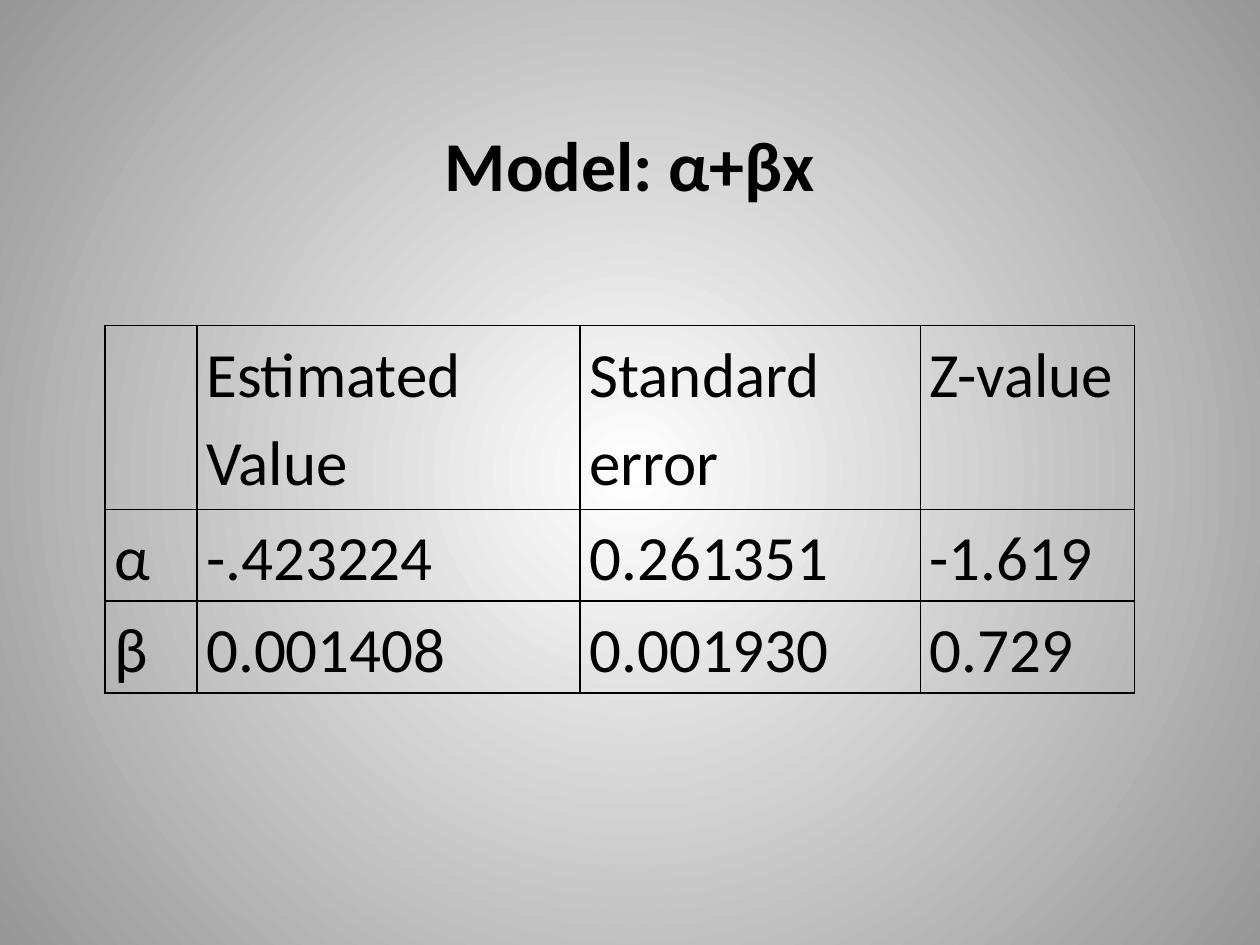
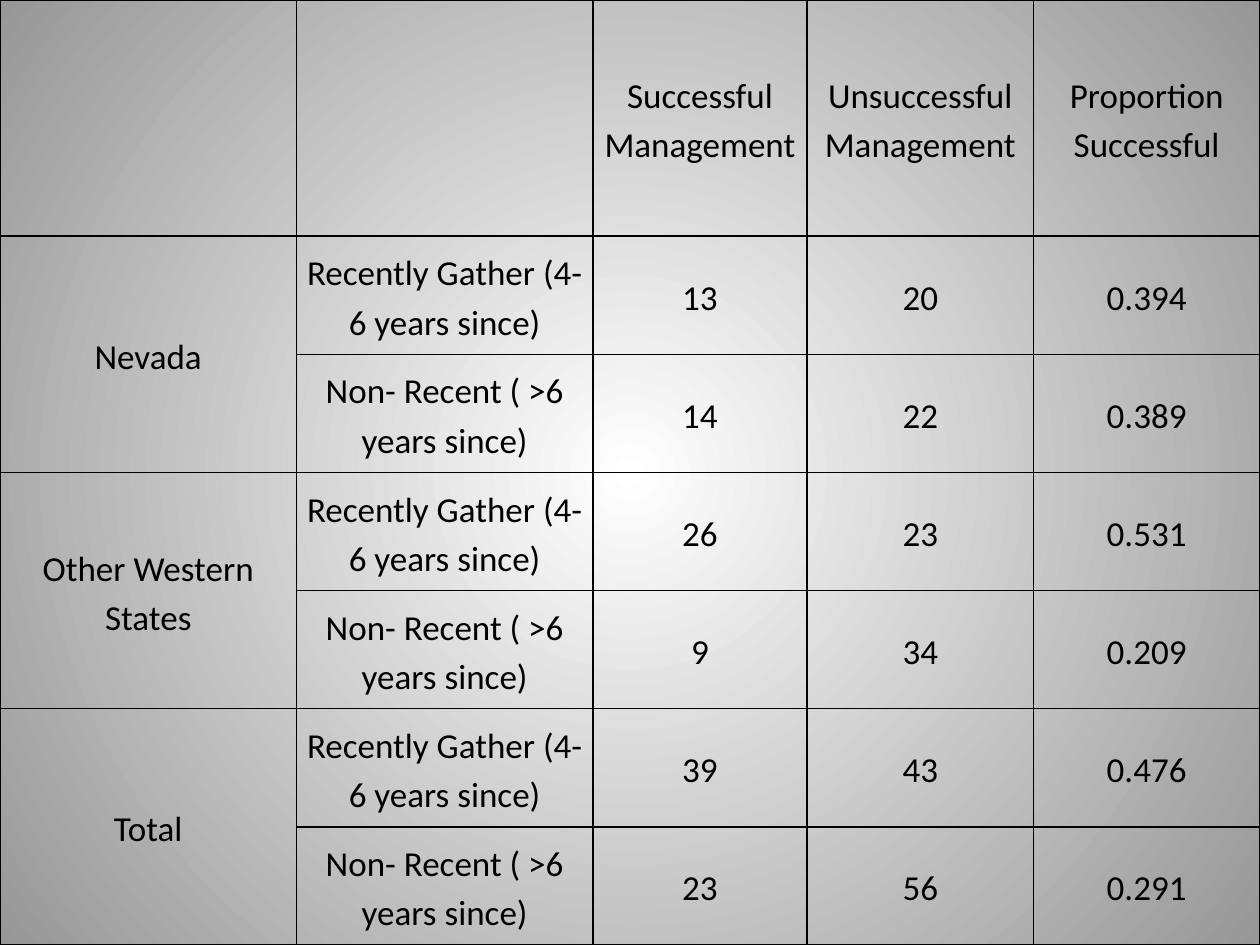
"""Builds two slides of management results: a fitted model and a table of counts."""
from lxml import etree
from pptx import Presentation
from pptx import util as u
from pptx.dml.color import RGBColor
from pptx.enum import text
from pptx.oxml import ns

COLORS = {"ink": "000000", "center": "FFFFFF", "edge": "979797"}
FONT = "Calibri"
LEFT, CENTER = text.PP_ALIGN.LEFT, text.PP_ALIGN.CENTER
RECENT = "Recently Gather (4-6 years since)"
OLDER = "Non- Recent ( >6 years since)"

TITLE = "Model: α+βx"
MODEL = {
    "left": 60, "top": 186, "cols": [52.5, 219, 194.4, 122.4],
    "rows": [105, 52.5, 52.5], "size": 36, "align": LEFT,
    "anchor": text.MSO_ANCHOR.TOP, "merges": [],
    "cells": [
        ["", "Estimated Value", "Standard error", "Z-value"],
        ["α", "-.423224", "0.261351", "-1.619"],
        ["β", "0.001408", "0.001930", "0.729"],
    ],
}
COUNTS = [
    ("Nevada", ["13", "20", "0.394"], ["14", "22", "0.389"]),
    ("Other Western States", ["26", "23", "0.531"], ["9", "34", "0.209"]),
    ("Total", ["39", "43", "0.476"], ["23", "56", "0.291"]),
]
count_rows = [["", "", "Successful Management", "Unsuccessful Management",
               "Proportion Successful"]]
for region, recent, older in COUNTS:
    count_rows += [[region, RECENT, *recent], ["", OLDER, *older]]
MANAGEMENT = {
    "left": 0, "top": 0, "cols": [169.4, 169.4, 122.4, 129.4, 129.4],
    "rows": [135] + [67.5] * 6, "size": 20, "align": CENTER,
    "anchor": text.MSO_ANCHOR.MIDDLE,
    "merges": range(1, len(count_rows), 2), "cells": count_rows,
}


def rgb(name):
    return RGBColor.from_string(COLORS[name])


def add_run(p, words, size, bold=False):
    r = p.add_run()
    r.text = words
    r.font.name, r.font.size, r.font.bold = FONT, u.Pt(size), bold
    r.font.color.rgb = rgb("ink")


def add_slide(prs):
    s = prs.slides.add_slide(prs.slide_layouts[6])
    fill = s.background.fill
    fill.gradient()
    for stop, name, position in zip(fill.gradient_stops, ("center", "edge"), (0, 1)):
        stop.color.rgb = rgb(name)
        stop.position = position
    lin = next(s.background._cSld.iter(ns.qn("a:lin")))
    circle = etree.Element(ns.qn("a:path"), {"path": "circle"})
    etree.SubElement(circle, ns.qn("a:fillToRect"), dict.fromkeys("ltrb", "50000"))
    lin.getparent().replace(lin, circle)
    return s


def add_borders(cell):
    tc_pr = cell._tc.get_or_add_tcPr()
    for side in "LRTB":
        ln = etree.SubElement(tc_pr, ns.qn(f"a:ln{side}"), w=str(u.Pt(1)))
        solid = etree.SubElement(ln, ns.qn("a:solidFill"))
        etree.SubElement(solid, ns.qn("a:srgbClr"), val=COLORS["ink"])


def add_grid(s, grid):
    cols, rows = grid["cols"], grid["rows"]
    frame = s.shapes.add_table(
        len(rows), len(cols), u.Pt(grid["left"]), u.Pt(grid["top"]),
        u.Pt(sum(cols)), u.Pt(sum(rows)))
    table = frame.table
    table.first_row = table.horz_banding = False
    for column, width in zip(table.columns, cols):
        column.width = u.Pt(width)
    for row, height, words in zip(table.rows, rows, grid["cells"]):
        row.height = u.Pt(height)
        for cell, word in zip(row.cells, words):
            add_borders(cell)
            cell.fill.background()
            cell.vertical_anchor = grid["anchor"]
            cell.margin_left = cell.margin_right = u.Pt(5.4)
            cell.margin_top = cell.margin_bottom = 0
            p = cell.text_frame.paragraphs[0]
            p.alignment, p.line_spacing = grid["align"], 1.15
            if word:
                add_run(p, word, grid["size"])
    for i in grid["merges"]:
        table.cell(i, 0).merge(table.cell(i + 1, 0))


def add_title(s, words):
    sp = s.shapes.add_textbox(u.Pt(228), u.Pt(66), u.Pt(264), u.Pt(55.7))
    tf = sp.text_frame
    tf.word_wrap = True
    tf.auto_size = text.MSO_AUTO_SIZE.SHAPE_TO_FIT_TEXT
    p = tf.paragraphs[0]
    p.alignment = CENTER
    add_run(p, words, 40, bold=True)


def main():
    prs = Presentation()
    prs.slide_width, prs.slide_height = u.Pt(720), u.Pt(540)
    s = add_slide(prs)
    add_grid(s, MODEL)
    add_title(s, TITLE)
    add_grid(add_slide(prs), MANAGEMENT)
    prs.save("out.pptx")


if __name__ == "__main__":
    main()
